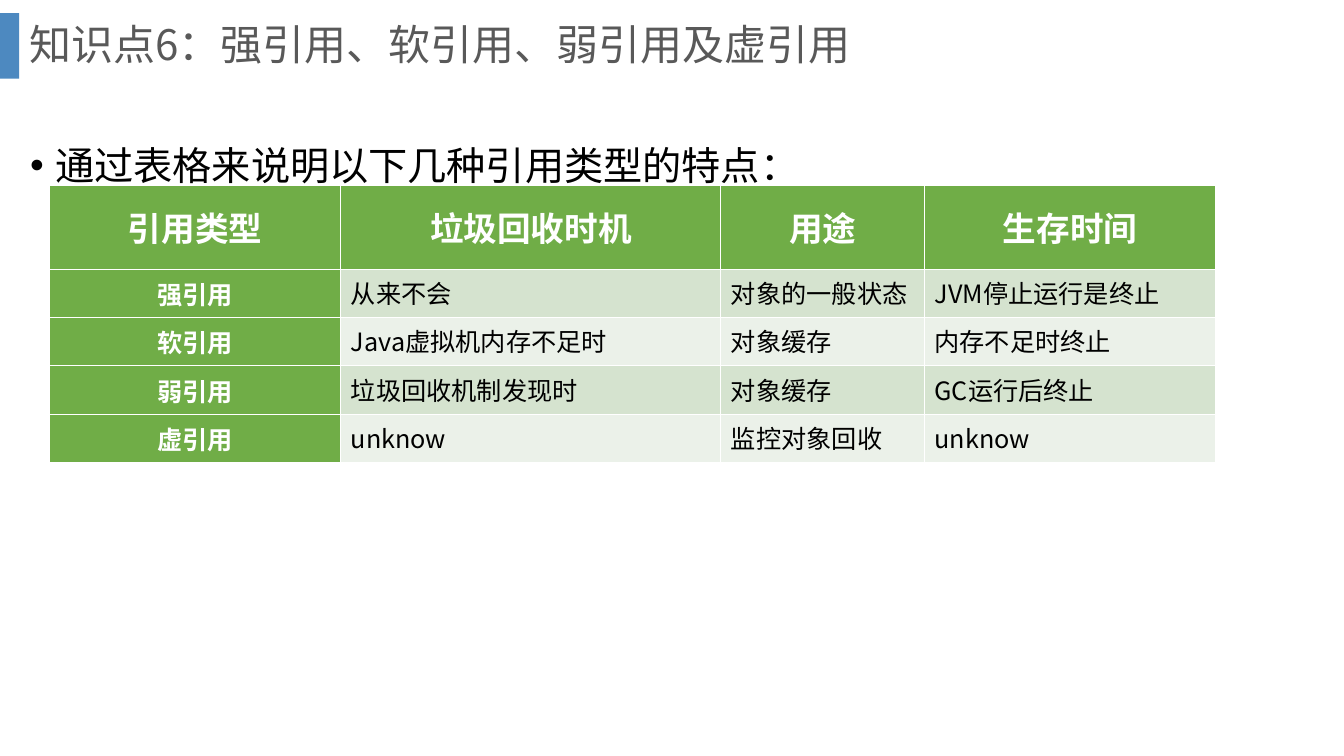
from dataclasses import dataclass

from lxml.etree import SubElement
from pptx import Presentation
from pptx.dml.color import RGBColor as Rgb
from pptx.enum.shapes import MSO_SHAPE as Shape
from pptx.enum.text import MSO_ANCHOR as Anchor, PP_ALIGN as Align
from pptx.oxml.ns import qn
from pptx.util import Inches, Pt


@dataclass(frozen=True)
class Theme:
    face: str = "Noto Sans CJK SC"
    accent: str = "2E75B6"
    title: str = "595959"
    ink: str = "000000"
    white: str = "FFFFFF"
    head: str = "70AD47"
    bands: tuple = ("D5E3CF", "EBF1E9")
    title_size: int = 30
    lead_size: int = 28
    head_size: int = 24
    cell_size: int = 18


theme = Theme()
deck = Presentation()
deck.slide_width, deck.slide_height = Inches(13.33), Inches(7.5)
page = deck.slides.add_slide(deck.slide_layouts[6])


def area(left, top, width, height):
    """Turn percentages of the slide's width and height into lengths."""
    across, down = deck.slide_width / 100, deck.slide_height / 100
    return [round(n) for n in (left * across, top * down, width * across, height * down)]


def write(para, text, size, color, bold=False):
    span = para.add_run()
    span.text = text
    font = para.font
    font.name, font.size, font.bold = theme.face, Pt(size), bold
    font.color.rgb = Rgb.from_string(color)
    # East Asian glyphs take their own typeface entry
    SubElement(span._r.get_or_add_rPr(), qn("a:ea"), typeface=theme.face)


# Title with its accent bar
bar = page.shapes.add_shape(Shape.RECTANGLE, *area(0, 1.73, 1.43, 8.67))
bar.shadow.inherit = False
bar.fill.solid()
bar.fill.fore_color.rgb = Rgb.from_string(theme.accent)
bar.line.fill.background()
SubElement(bar.fill._xPr.find(".//" + qn("a:srgbClr")), qn("a:alpha"), val="85000")

title = page.shapes.add_textbox(*area(1.43, 0, 94.97, 12.4)).text_frame
title.word_wrap = True
title.vertical_anchor = Anchor.MIDDLE
title.paragraphs[0].line_spacing = 0.9
write(title.paragraphs[0], "知识点6：强引用、软引用、弱引用及虚引用", theme.title_size, theme.title)

# Lead sentence
lead = page.shapes.add_textbox(*area(1.5, 14.93, 96.77, 77.6)).text_frame
lead.word_wrap = True
para = lead.paragraphs[0]
para.line_spacing = 1.5
layout = para._p.get_or_add_pPr()
layout.set("marL", str(Inches(0.25)))
layout.set("indent", str(-Inches(0.25)))
SubElement(layout, qn("a:buFont"), typeface="Arial")
SubElement(layout, qn("a:buChar"), char="•")
write(para, "通过表格来说明以下几种引用类型的特点：", theme.lead_size, theme.ink)

# Comparison of the reference types
rows = [
    ("引用类型", "垃圾回收时机", "用途", "生存时间"),
    ("强引用", "从来不会", "对象的一般状态", "JVM停止运行是终止"),
    ("软引用", "Java虚拟机内存不足时", "对象缓存", "内存不足时终止"),
    ("弱引用", "垃圾回收机制发现时", "对象缓存", "GC运行后终止"),
    ("虚引用", "unknow", "监控对象回收", "unknow"),
]
widths = (21.68, 28.28, 15.15, 21.68)
heights = (11.07,) + (6.4,) * 4
table = page.shapes.add_table(
    len(rows), len(widths), *area(3.68, 24.53, sum(widths), sum(heights))
).table
table.first_col = True
for column, width in zip(table.columns, widths):
    column.width = area(0, 0, width, 0)[2]
for r, (values, height) in enumerate(zip(rows, heights)):
    table.rows[r].height = area(0, 0, 0, height)[3]
    for c, value in enumerate(values):
        cell = table.cell(r, c)
        is_head = r == 0 or c == 0
        cell.fill.solid()
        cell.fill.fore_color.rgb = Rgb.from_string(
            theme.head if is_head else theme.bands[(r - 1) % 2]
        )
        para = cell.text_frame.paragraphs[0]
        if is_head:
            cell.vertical_anchor = Anchor.MIDDLE
            para.alignment = Align.CENTER
        size = theme.head_size if r == 0 else theme.cell_size
        write(para, value, size, theme.white if is_head else theme.ink, is_head)

deck.save("out.pptx")
